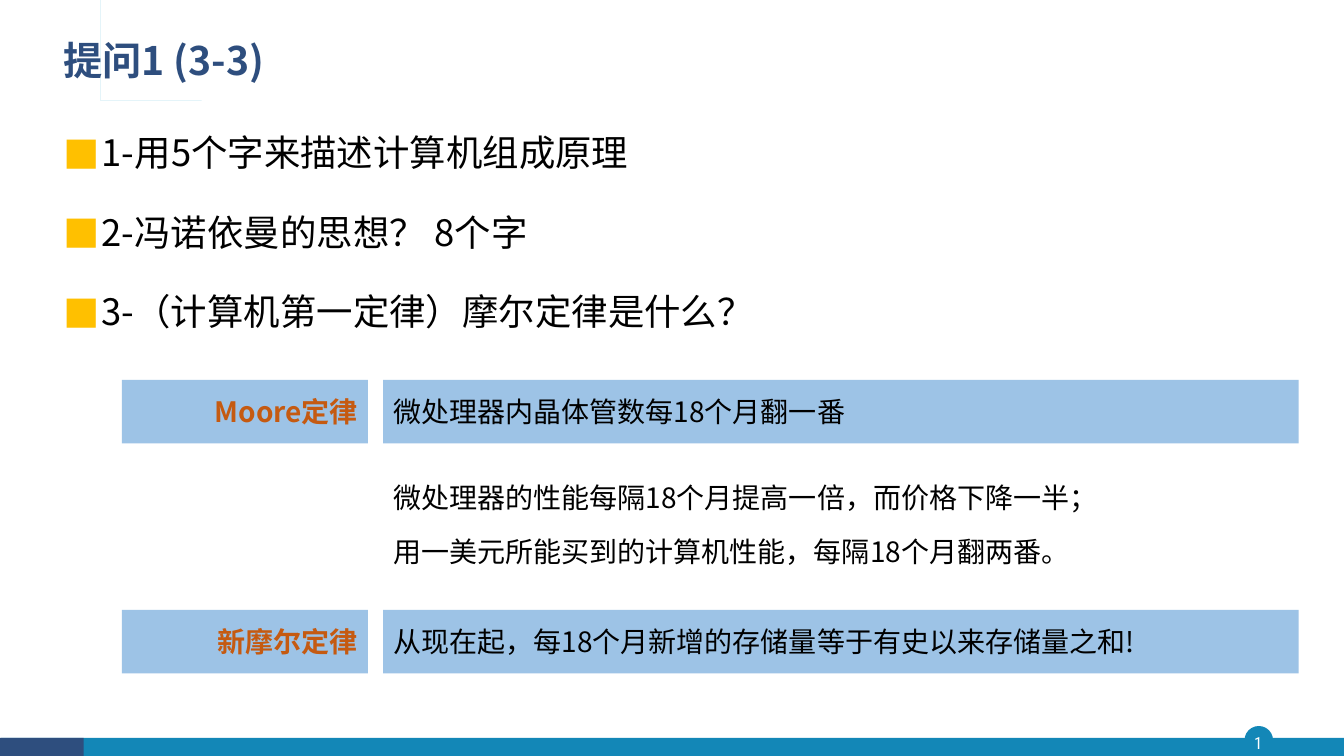
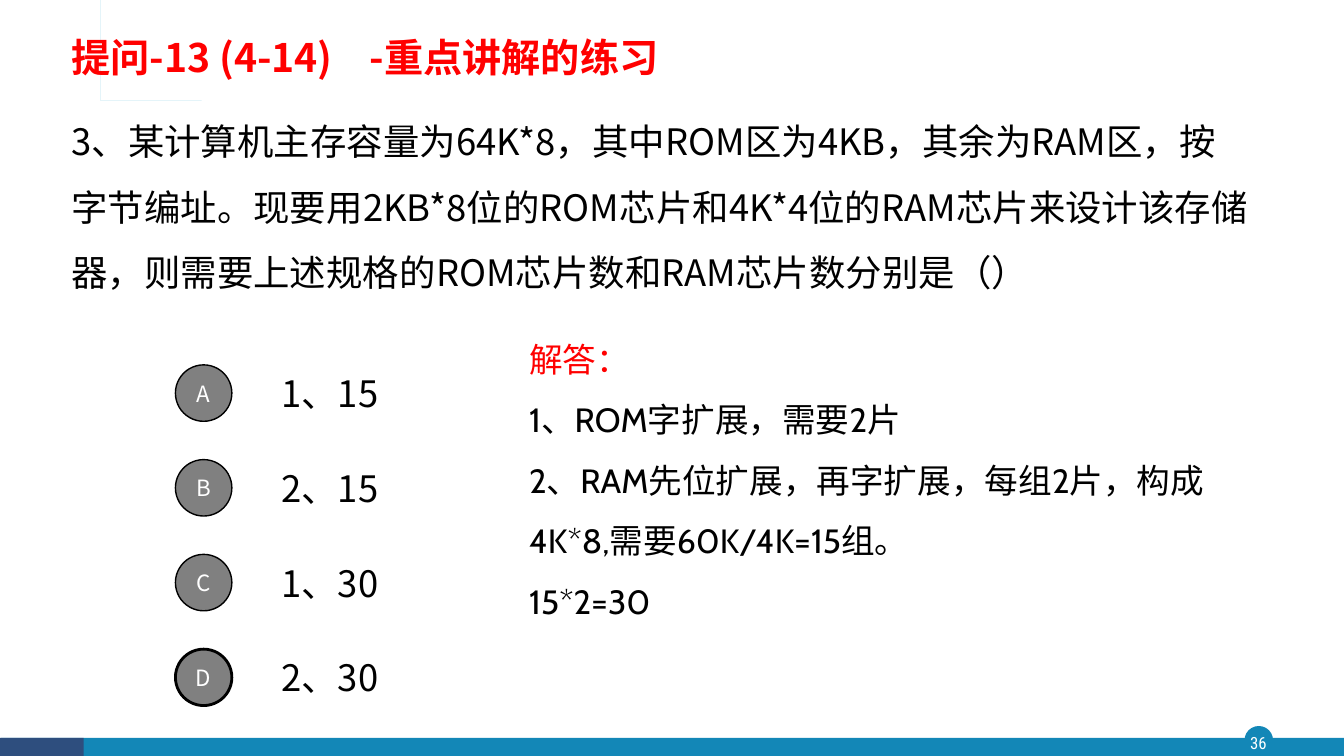
from dataclasses import dataclass

from lxml.etree import SubElement
from pptx import Presentation
from pptx.dml.color import RGBColor
from pptx.enum.shapes import MSO_SHAPE
from pptx.enum.text import MSO_ANCHOR, PP_ALIGN
from pptx.oxml.ns import qn
from pptx.util import Inches, Pt


@dataclass(frozen=True)
class Theme:
    navy: str = "2E4E7E"
    teal: str = "1387B7"
    sky: str = "28A9D6"
    pale_blue: str = "9DC3E6"
    orange: str = "C55A11"
    amber: str = "FFC000"
    red: str = "FF0000"
    gray: str = "808080"
    black: str = "000000"
    white: str = "FFFFFF"
    font: str = "Noto Sans CJK SC"
    answer_font: str = "Cabin"
    number_font: str = "Roboto Condensed"
    title_size: int = 28
    body_size: int = 26
    answer_size: int = 24
    law_size: int = 20
    letter_size: int = 16
    number_size: int = 12


THEME = Theme()
TITLE_MARK = [
    (0.54, 0.39), (0.54, 0.85), (1.87, 0.85), (1.87, 0.87), (0.52, 0.87),
    (0.52, 0.41), (0.47, 0.41), (0.47, 0.87), (0.36, 0.87), (0.36, 0.39),
    (0.39, 0.39), (0.39, 0.84), (0.44, 0.84), (0.44, 0.39),
]


def rgb(color):
    return RGBColor.from_string(color)


def write(shape, text, *, size, color=THEME.black, font=THEME.font, bold=False,
          align=PP_ALIGN.LEFT, anchor=MSO_ANCHOR.MIDDLE, line=1.0, before=0,
          bullet=None, tab=None, inset=None, first=None):
    """Fill a shape with one paragraph per line; first overrides (color, font) of line one."""
    frame = shape.text_frame
    frame.word_wrap = True
    frame.vertical_anchor = anchor
    if inset is not None:
        frame.margin_left = frame.margin_right = Inches(inset)
        frame.margin_top = frame.margin_bottom = Inches(inset)
    for index, content in enumerate(text.split("\n")):
        paragraph = frame.add_paragraph() if index else frame.paragraphs[0]
        properties = paragraph._p.get_or_add_pPr()
        if bullet:
            properties.set("marL", str(Inches(0.38)))
            properties.set("indent", str(-Inches(0.38)))
            SubElement(SubElement(properties, qn("a:buClr")), qn("a:srgbClr"), val=bullet)
            SubElement(properties, qn("a:buFont"), typeface=font)
            SubElement(properties, qn("a:buChar"), char="■")
        if tab:
            stops = SubElement(properties, qn("a:tabLst"))
            SubElement(stops, qn("a:tab"), pos=str(Inches(tab)), algn="l")
        paragraph.alignment = align
        paragraph.line_spacing = line
        if index and before:
            paragraph.space_before = Pt(before)
        run_color, run_font = first if first and index == 0 else (color, font)
        run = paragraph.add_run()
        run.text = content
        run.font.size = Pt(size)
        run.font.bold = bold
        run.font.color.rgb = rgb(run_color)
        run.font.name = run_font
        SubElement(run._r.get_or_add_rPr(), qn("a:ea"), typeface=THEME.font)


def add_text(slide, box, text, **text_format):
    write(slide.shapes.add_textbox(*map(Inches, box)), text, **text_format)


def paint(shape, fill, outline=None, width=1):
    shape.shadow.inherit = False
    shape.fill.solid()
    shape.fill.fore_color.rgb = rgb(fill)
    if outline:
        shape.line.color.rgb = rgb(outline)
        shape.line.width = Pt(width)
    else:
        shape.line.fill.background()
    return shape


def add_block(slide, kind, box, fill, **outline):
    return paint(slide.shapes.add_shape(kind, *map(Inches, box)), fill, **outline)


# Footer band, page number and title mark shared by all slides
def add_frame(slide, number):
    add_block(slide, MSO_SHAPE.OVAL, (12.35, 7.21, 0.27, 0.27), THEME.teal, outline=THEME.teal)
    add_block(slide, MSO_SHAPE.RECTANGLE, (0.01, 7.32, 13.32, 0.19), THEME.teal)
    add_block(slide, MSO_SHAPE.RECTANGLE, (0, 7.32, 0.83, 0.19), THEME.navy)
    add_text(slide, (12.32, 7.21, 0.32, 0.31), number, size=THEME.number_size,
             color=THEME.white, font=THEME.number_font, align=PP_ALIGN.CENTER, inset=0)
    outline = slide.shapes.build_freeform(*TITLE_MARK[0], scale=Inches(1))
    outline.add_line_segments(TITLE_MARK[1:], close=True)
    paint(outline.convert_to_shape(), THEME.sky)


def add_title(slide, left, top, text, color, **text_format):
    add_text(slide, (left, top, 11.5, 0.68), text, size=THEME.title_size,
             color=color, bold=True, line=0.9, **text_format)


# A law: its name on the left, its statement on the right
def add_law(slide, left, top, name, statement):
    name_width, gap, height = 2.44, 0.15, 0.63
    label = add_block(slide, MSO_SHAPE.RECTANGLE, (left, top, name_width, height), THEME.pale_blue)
    write(label, name, size=THEME.law_size, color=THEME.orange, bold=True, align=PP_ALIGN.RIGHT)
    band = add_block(slide, MSO_SHAPE.RECTANGLE,
                     (left + name_width + gap, top, 9.08, height), THEME.pale_blue)
    write(band, statement, size=THEME.law_size)


# Lettered choices at an equal pitch; the correct one has a heavier ring
def add_choices(slide, left, top, choices, correct):
    pitch, diameter = 0.94, 0.56
    for index, (letter, choice) in enumerate(zip("ABCD", choices)):
        row = top + index * pitch
        add_text(slide, (left + 0.95, row - 0.07, 2.4, 0.7), choice, size=THEME.body_size)
        ring = add_block(slide, MSO_SHAPE.OVAL, (left, row, diameter, diameter), THEME.gray,
                         outline=THEME.black, width=2 if letter == correct else 1)
        write(ring, letter, size=THEME.letter_size, color=THEME.white, align=PP_ALIGN.CENTER)


def build_law_slide(slide):
    add_frame(slide, "1")
    add_title(slide, 0.53, 0.28, "提问1 (3-3)", THEME.navy)
    # Questions
    add_text(slide, (0.53, 1.03, 11.5, 2.6),
             "1-用5个字来描述计算机组成原理\n"
             "2-冯诺依曼的思想？ 8个字\n"
             "3-（计算机第一定律）摩尔定律是什么？",
             size=THEME.body_size, align=PP_ALIGN.JUSTIFY, anchor=MSO_ANCHOR.TOP,
             line=1.5, before=10, bullet=THEME.amber)
    # Laws, with two corollaries between them
    add_law(slide, 1.21, 3.77, "Moore定律", "微处理器内晶体管数每18个月翻一番")
    add_text(slide, (3.8, 4.65, 8.45, 1.15),
             "微处理器的性能每隔18个月提高一倍，而价格下降一半；\n"
             "用一美元所能买到的计算机性能，每隔18个月翻两番。",
             size=THEME.law_size, align=PP_ALIGN.JUSTIFY, anchor=MSO_ANCHOR.TOP,
             line=1.2, before=10)
    add_law(slide, 1.21, 6.05, "新摩尔定律",
            "从现在起，每18个月新增的存储量等于有史以来存储量之和!")


def build_exercise_slide(slide):
    add_frame(slide, "36")
    add_title(slide, 0.61, 0.25, "提问-13 (4-14)\t-重点讲解的练习", THEME.red, tab=2.96)
    # Question
    add_text(slide, (0.61, 0.77, 11.89, 2.34),
             "3、某计算机主存容量为64K*8，其中ROM区为4KB，其余为RAM区，按字节编址。"
             "现要用2KB*8位的ROM芯片和4K*4位的RAM芯片来设计该存储器，"
             "则需要上述规格的ROM芯片数和RAM芯片数分别是（）",
             size=THEME.body_size, line=1.5)
    add_choices(slide, 1.74, 3.62, ["1、15", "2、15", "1、30", "2、30"], correct="D")
    # Worked answer
    add_text(slide, (5.15, 3.11, 7.52, 3.53),
             "解答：\n"
             "1、ROM字扩展，需要2片\n"
             "2、RAM先位扩展，再字扩展，每组2片，构成4K*8,需要60K/4K=15组。\n"
             "15*2=30",
             size=THEME.answer_size, font=THEME.answer_font, anchor=MSO_ANCHOR.TOP,
             line=1.5, first=(THEME.red, THEME.font))


def main():
    deck = Presentation()
    deck.slide_width, deck.slide_height = Inches(13.33), Inches(7.5)
    for build in (build_law_slide, build_exercise_slide):
        build(deck.slides.add_slide(deck.slide_layouts[6]))
    deck.save("out.pptx")


if __name__ == "__main__":
    main()
